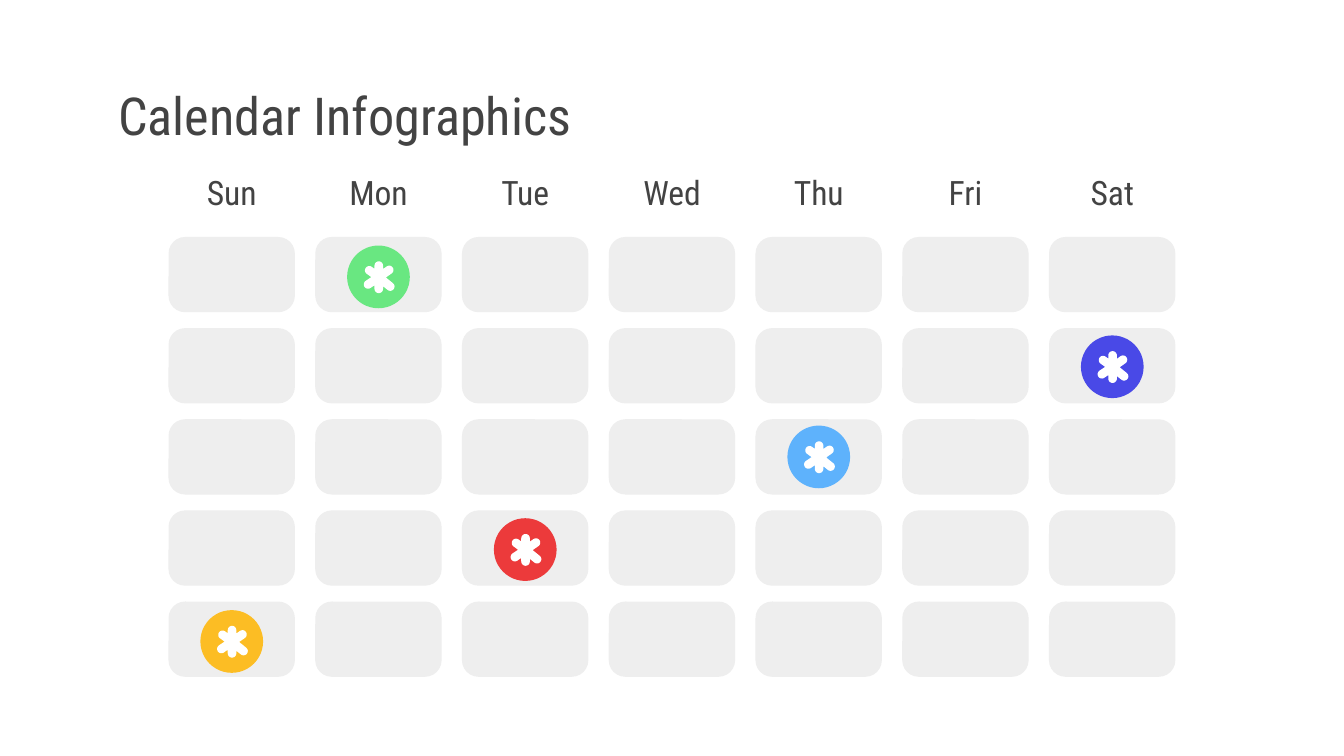
from math import cos, radians, sin

from pptx import Presentation
from pptx.dml.color import RGBColor
from pptx.enum.shapes import MSO_SHAPE
from pptx.enum.text import MSO_ANCHOR, PP_ALIGN
from pptx.util import Pt

ROUNDED = MSO_SHAPE.ROUNDED_RECTANGLE
OVAL = MSO_SHAPE.OVAL
MIDDLE, BOTTOM = MSO_ANCHOR.MIDDLE, MSO_ANCHOR.BOTTOM
LEFT, CENTER = PP_ALIGN.LEFT, PP_ALIGN.CENTER

FONT = "Roboto Condensed"
INK = RGBColor(0x43, 0x43, 0x43)
CELL = RGBColor(0xEE, 0xEE, 0xEE)
WHITE = RGBColor(0xFF, 0xFF, 0xFF)
GREEN = RGBColor(0x69, 0xE7, 0x81)
SKY = RGBColor(0x5E, 0xB2, 0xFC)
RED = RGBColor(0xEC, 0x3A, 0x3B)
INDIGO = RGBColor(0x49, 0x49, 0xE7)
AMBER = RGBColor(0xFC, 0xBD, 0x24)

DAYS = ["Sun", "Mon", "Tue", "Wed", "Thu", "Fri", "Sat"]
WEEKS = 5
CELL_WIDTH, CELL_HEIGHT = 67.7, 40.3
MARKER_SIZE = 33.6
LABEL_WIDTH, LABEL_HEIGHT = 49, 24.5

# week, day, drop below the cell centre, colour
EVENTS = [(0, 1, 1.2, GREEN), (2, 4, 0, SKY), (3, 2, 0.8, RED),
          (1, 6, 0.5, INDIGO), (4, 0, 1.2, AMBER)]
# direction in degrees, length
ARMS = [(-90, 6.2), (-35, 6.8), (39, 7.9), (90, 6.2), (146, 6.9), (216, 6.3)]
ARM_RADIUS = 2.3


def paint(shape, color):
    shape.shadow.inherit = False
    shape.fill.solid()
    shape.fill.fore_color.rgb = color
    shape.line.fill.background()


def write(shape, text, size, align, anchor):
    frame = shape.text_frame
    frame.word_wrap = True
    frame.vertical_anchor = anchor
    frame.margin_left = frame.margin_right = Pt(7.2)
    frame.margin_top = frame.margin_bottom = Pt(7.2)
    frame.text = text
    paragraph = frame.paragraphs[0]
    paragraph.alignment = align
    paragraph.font.name = FONT
    paragraph.font.size = Pt(size)
    paragraph.font.color.rgb = INK


def place_title(slide, left, top, width, height):
    title = slide.shapes.title
    title.left, title.top = Pt(left), Pt(top)
    title.width, title.height = Pt(width), Pt(height)
    write(title, "Calendar Infographics", 28, LEFT, MIDDLE)


def polar(x, y, angle, radius):
    return x + radius * cos(radians(angle)), y + radius * sin(radians(angle))


def asterisk_outline(x, y):
    points = []
    for index, (angle, length) in enumerate(ARMS):
        tip_x, tip_y = polar(x, y, angle, length)
        points += [polar(tip_x, tip_y, angle + turn, ARM_RADIUS)
                   for turn in range(-90, 91, 15)]
        following = ARMS[(index + 1) % len(ARMS)][0]
        half_gap = (following - angle) % 360 / 2
        points.append(polar(x, y, angle + half_gap,
                            ARM_RADIUS / sin(radians(half_gap))))
    return [(Pt(px), Pt(py)) for px, py in points]


def add_marker(slide, left, top, size, color):
    marker = slide.shapes.add_group_shape()
    disc = marker.shapes.add_shape(OVAL, Pt(left), Pt(top), Pt(size), Pt(size))
    paint(disc, color)
    outline = asterisk_outline(left + size / 2 + 0.2, top + size / 2 + 0.2)
    builder = marker.shapes.build_freeform(*outline[0])
    builder.add_line_segments(outline[1:], close=True)
    paint(builder.convert_to_shape(), WHITE)


def add_weekdays(slide, left, top, width, height):
    pitch = (width - CELL_WIDTH) / (len(DAYS) - 1)
    inset = (CELL_WIDTH - LABEL_WIDTH) / 2
    for column, day in enumerate(DAYS):
        label = slide.shapes.add_textbox(Pt(left + column * pitch + inset), Pt(top),
                                         Pt(LABEL_WIDTH), Pt(height))
        write(label, day, 18, CENTER, BOTTOM)


def add_calendar(slide, left, top, width, height):
    column_pitch = (width - CELL_WIDTH) / (len(DAYS) - 1)
    row_pitch = (height - CELL_HEIGHT) / (WEEKS - 1)
    grid = slide.shapes.add_group_shape()
    for week in range(WEEKS):
        for column in range(len(DAYS)):
            cell = grid.shapes.add_shape(
                ROUNDED, Pt(left + column * column_pitch), Pt(top + week * row_pitch),
                Pt(CELL_WIDTH), Pt(CELL_HEIGHT))
            cell.adjustments[0] = 0.22
            paint(cell, CELL)
    for week, column, drop, color in EVENTS:
        add_marker(slide,
                   left + column * column_pitch + (CELL_WIDTH - MARKER_SIZE) / 2,
                   top + week * row_pitch + (CELL_HEIGHT - MARKER_SIZE) / 2 + drop,
                   MARKER_SIZE, color)


def main():
    presentation = Presentation()
    presentation.slide_width, presentation.slide_height = Pt(720), Pt(405)
    slide = presentation.slides.add_slide(presentation.slide_layouts[5])
    place_title(slide, 56.2, 42.5, 608.4, 38.2)
    add_weekdays(slide, 90.3, 96.5, 539.4, LABEL_HEIGHT)
    add_calendar(slide, 90.3, 127, 539.4, 235.6)
    presentation.save("out.pptx")


if __name__ == "__main__":
    main()
